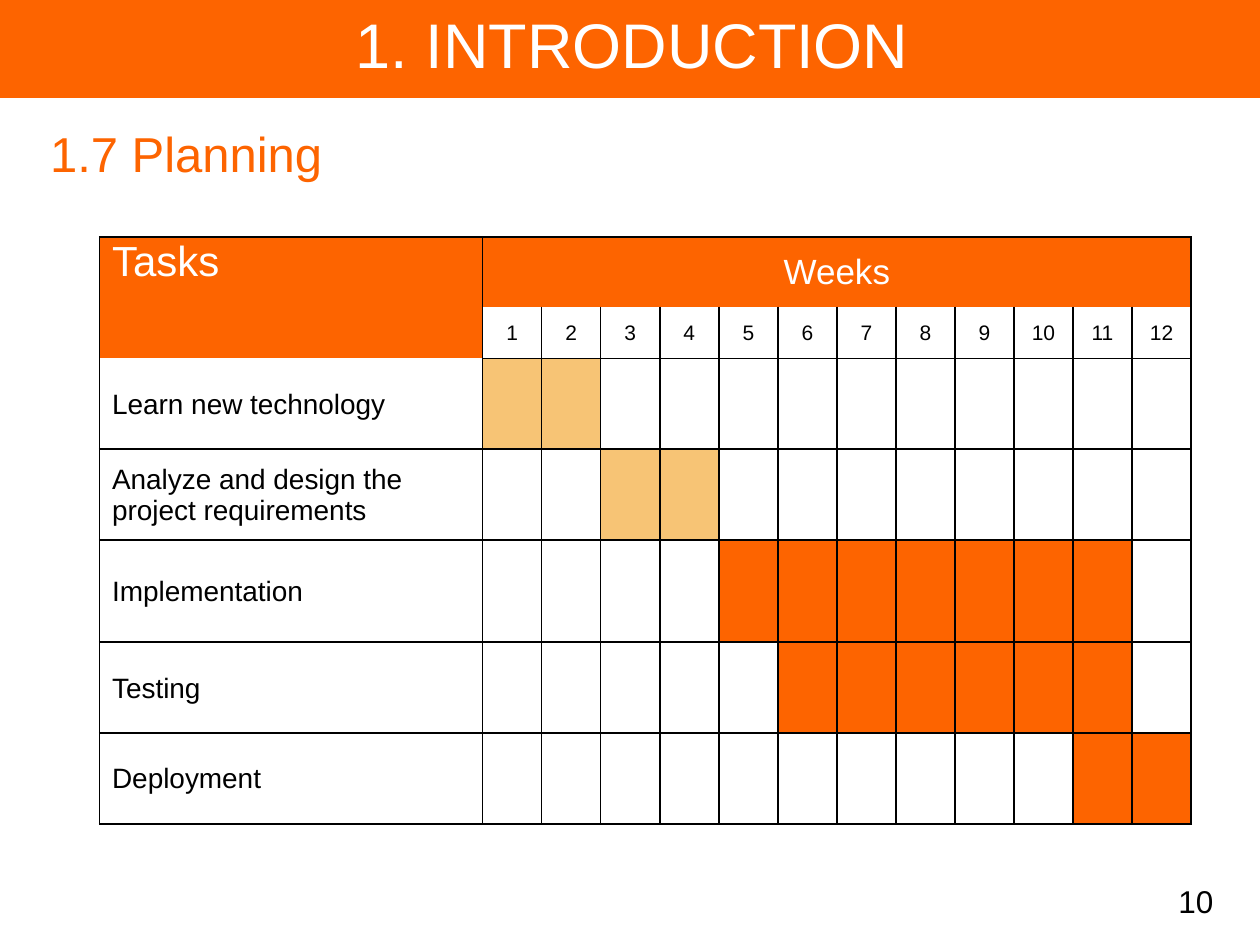
"""Build the project planning slide with its week-by-week task table."""
from lxml.etree import SubElement
from pptx import Presentation
from pptx.dml.color import RGBColor
from pptx.enum.shapes import MSO_SHAPE
from pptx.enum.text import MSO_ANCHOR, PP_ALIGN
from pptx.oxml.ns import qn
from pptx.util import Cm, Pt

COLORS = {"orange": "FD6400", "sand": "F7C475", "white": "FFFFFF", "black": "000000"}
TASKS = [
    ("Learn new technology", 1, 2, "sand", 1.83),
    ("Analyze and design the project requirements", 3, 4, "sand", 1.83),
    ("Implementation", 5, 11, "orange", 2.06),
    ("Testing", 6, 11, "orange", 1.83),
    ("Deployment", 11, 12, "orange", 1.83),
]
WEEKS = 12
HEADS = [1.4, 0.79]
LABELS = [
    ("1.7 Planning", (0.76, 2.49, 11.68, 1.3), 28, "orange", PP_ALIGN.LEFT, MSO_ANCHOR.TOP, True),
    ("1. INTRODUCTION", (0.76, 0, 23.98, 1.96), 36, "white", PP_ALIGN.CENTER, MSO_ANCHOR.MIDDLE, True),
    ("10", (17.93, 17.65, 6.78, 1.02), 18, "black", PP_ALIGN.RIGHT, MSO_ANCHOR.MIDDLE, False),
]


def rgb(name):
    return RGBColor.from_string(COLORS[name])


def write(frame, text, size, color, align):
    frame.text = text
    para = frame.paragraphs[0]
    para.alignment = align
    font = para.runs[0].font
    font.name, font.size = "Arial", Pt(size)
    font.color.rgb = rgb(color)
    return para


def add_label(slide, text, area, size, color, align, anchor, heading):
    frame = slide.shapes.add_textbox(*map(Cm, area)).text_frame
    frame.word_wrap = True
    frame.vertical_anchor = anchor
    para = write(frame, text, size, color, align)
    if heading:
        para.line_spacing, para.space_before = 0.9, Pt(10)


def paint(cell, color, sides):
    props = cell._tc.get_or_add_tcPr()
    for side in "LRTB":
        line = SubElement(props, qn(f"a:ln{side}"), w=str(Pt(1)))
        if side in sides:
            fill = SubElement(line, qn("a:solidFill"))
            SubElement(fill, qn("a:srgbClr"), val=COLORS["black"])
        else:
            SubElement(line, qn("a:noFill"))
    cell.fill.solid()
    cell.fill.fore_color.rgb = rgb(color)


def label_cell(cell, text, size, color, align, anchor=MSO_ANCHOR.MIDDLE):
    cell.margin_left = Cm(0.25 if align == PP_ALIGN.LEFT else 0.03)
    cell.margin_right = cell.margin_top = Cm(0.03)
    cell.margin_bottom = 0
    cell.vertical_anchor = anchor
    write(cell.text_frame, text, size, color, align)


def sides_at(row, col):
    if row == 0:
        return "LRT"
    if row == 1:
        return "LRB" if col else "LR"
    return "LRB" if (row, col) == (2, 0) else "LRTB"


def color_at(row, col):
    if row == 0 or (row == 1 and col == 0):
        return "orange"
    if row == 1:
        return "white"
    _, first, last, color, _ = TASKS[row - 2]
    return color if first <= col <= last else "white"


def add_plan(slide):
    highs = HEADS + [task[-1] for task in TASKS]
    wides = [7.72] + [1.19] * WEEKS
    area = (2.01, 4.78, sum(wides), sum(highs))
    table = slide.shapes.add_table(len(highs), len(wides), *map(Cm, area)).table
    table.first_row = table.horz_banding = False
    for col, wide in enumerate(wides):
        table.columns[col].width = Cm(wide)
    for row, high in enumerate(highs):
        table.rows[row].height = Cm(high)
        for col in range(len(wides)):
            paint(table.cell(row, col), color_at(row, col), sides_at(row, col))
    table.cell(0, 0).merge(table.cell(1, 0))
    table.cell(0, 1).merge(table.cell(0, WEEKS))
    label_cell(table.cell(0, 0), "Tasks", 24, "white", PP_ALIGN.LEFT, MSO_ANCHOR.TOP)
    label_cell(table.cell(0, 1), "Weeks", 20, "white", PP_ALIGN.CENTER)
    for week in range(1, WEEKS + 1):
        label_cell(table.cell(1, week), str(week), 12, "black", PP_ALIGN.CENTER)
    for row, task in enumerate(TASKS, 2):
        label_cell(table.cell(row, 0), task[0], 16, "black", PP_ALIGN.LEFT)


def main():
    deck = Presentation()
    deck.slide_width, deck.slide_height = Cm(25.4), Cm(19.05)
    slide = deck.slides.add_slide(deck.slide_layouts[6])
    band = slide.shapes.add_shape(MSO_SHAPE.RECTANGLE, 0, Cm(-0.03), Cm(25.4), Cm(1.98))
    band.shadow.inherit = False
    band.fill.solid()
    band.fill.fore_color.rgb = band.line.color.rgb = rgb("orange")
    band.line.width = Pt(1)
    for label in LABELS:
        add_label(slide, *label)
    add_plan(slide)
    deck.save("out.pptx")


if __name__ == "__main__":
    main()
